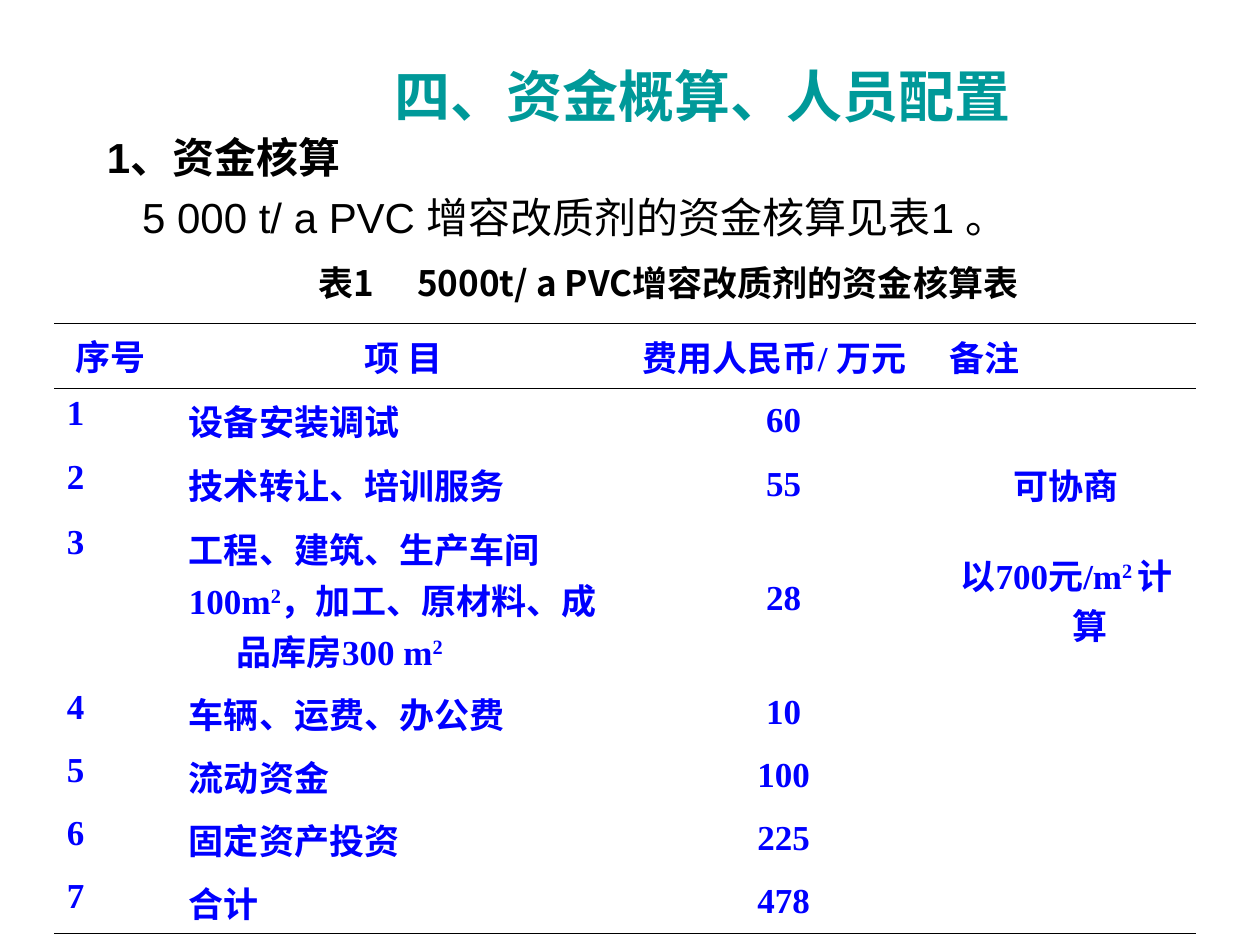
from lxml import etree
from pptx import Presentation
from pptx.dml.color import RGBColor
from pptx.enum.text import MSO_ANCHOR as Anchor, MSO_AUTO_SIZE as Fit, PP_ALIGN as Align
from pptx.oxml.ns import qn
from pptx.util import Inches, Pt

CJK_FONT = "Noto Sans CJK SC"
NO_GRID_STYLE = "{2D5ABB26-0587-4C30-8999-92F81FD0307C}"
BLACK, TEAL, BLUE = "000000", "009999", "0000FF"

COLUMNS = [0.97, 3.6, 2.44, 2.05]
ROW_HEIGHTS = [0.51] * 3 + [1.31] + [0.5] * 4
HEADER = ["序号", "项 目", "费用人民币/ 万元", "备注"]
# Text between carets is raised.
COSTS = [
    ("设备安装调试", "60", ""),
    ("技术转让、培训服务", "55", "可协商"),
    ("工程、建筑、生产车间\n100m^2^，加工、原材料、成品库房300 m^2^", "28",
     "以700元/m^2 ^计算"),
    ("车辆、运费、办公费", "10", ""),
    ("流动资金", "100", ""),
    ("固定资产投资", "225", ""),
    ("合计", "478", ""),
]


def color(value):
    return RGBColor.from_string(value)


def write(para, text, size=20, font="Arial", fill=BLACK, bold=True, align=Align.LEFT,
          left=0, first=0, spacing=None):
    """Fill a paragraph; every second part between carets becomes superscript."""
    para.alignment = align
    para.line_spacing = spacing
    props = para._p.get_or_add_pPr()
    props.set("marL", str(Inches(left)))
    props.set("indent", str(Inches(first)))
    for index, part in enumerate(text.split("^")):
        if not part:
            continue
        span = para.add_run()
        span.text = part
        span.font.size = Pt(size)
        span.font.bold = bold
        span.font.name = font
        span.font.color.rgb = color(fill)
        run_props = span._r.get_or_add_rPr()
        etree.SubElement(run_props, qn("a:ea"), typeface=CJK_FONT)
        if index % 2:
            run_props.set("baseline", "30000")


def set_borders(cell, ruled):
    """Rule the given sides of a cell and clear the others."""
    props = cell._tc.get_or_add_tcPr()
    for side in "LRTB":
        line = etree.SubElement(props, qn(f"a:ln{side}"), w=str(Pt(0.45)))
        if side in ruled:
            fill = etree.SubElement(line, qn("a:solidFill"))
            etree.SubElement(fill, qn("a:srgbClr"), val=BLACK)
        else:
            etree.SubElement(line, qn("a:noFill"))


class SlideBuilder:
    def __init__(self, deck):
        self.page = deck.slides.add_slide(deck.slide_layouts[5])
        self.cell_style = dict(font="Times New Roman", fill=BLUE, left=0.38)

    def frame(self, box, place, wrap, anchor, fit=Fit.SHAPE_TO_FIT_TEXT):
        box.left, box.top, box.width, box.height = map(Inches, place)
        frame = box.text_frame
        frame.word_wrap = wrap
        frame.auto_size = fit
        frame.vertical_anchor = anchor
        return frame

    def title(self, text, place):
        frame = self.frame(self.page.shapes.title, place, True, Anchor.TOP, Fit.NONE)
        write(frame.paragraphs[0], text, size=32, fill=TEAL)

    def text(self, lines, place, wrap=True):
        """Add a box from (text, format) pairs, one paragraph each."""
        box = self.page.shapes.add_textbox(*map(Inches, place))
        frame = self.frame(box, place, wrap, Anchor.MIDDLE)
        for index, (line, style) in enumerate(lines):
            para = frame.add_paragraph() if index else frame.paragraphs[0]
            write(para, line, **style)

    def cell(self, cell, text, align, anchor, first):
        cell.vertical_anchor = anchor
        for index, line in enumerate(text.split("\n")):
            frame = cell.text_frame
            para = frame.add_paragraph() if index else frame.paragraphs[0]
            write(para, line, align=align, first=first, **self.cell_style)

    def table(self, rows, place):
        shape = self.page.shapes.add_table(len(rows), len(COLUMNS), *map(Inches, place))
        table = shape.table
        table.first_row = table.horz_banding = False
        table._tbl.tblPr.find(qn("a:tableStyleId")).text = NO_GRID_STYLE
        for column, width in zip(table.columns, COLUMNS):
            column.width = Inches(width)
        for row, height in zip(table.rows, ROW_HEIGHTS):
            row.height = Inches(height)
        ruled_sides = {0: "TB", 1: "T", len(rows) - 1: "B"}
        for r, row in enumerate(rows):
            centred = (1,) if r == 0 else (2, 3)
            for c, text in enumerate(row):
                cell = table.cell(r, c)
                self.cell(cell, text,
                          align=Align.CENTER if c in centred else Align.LEFT,
                          anchor=Anchor.MIDDLE if c else Anchor.TOP,
                          first=-0.31 if r == c == 0 else -0.38)
                set_borders(cell, ruled_sides.get(r, ""))
                cell.fill.background()


def main():
    deck = Presentation()
    deck.slide_width, deck.slide_height = Inches(10), Inches(7.5)
    slide = SlideBuilder(deck)
    slide.title("四、资金概算、人员配置", (3.03, 0.44, 5.5, 0.64))
    slide.text([
        ("1、资金核算", dict(size=24)),
        ("5 000 t/ a PVC 增容改质剂的资金核算见表1 。",
         dict(size=24, bold=False, first=0.28, spacing=1.2)),
    ], (0.75, 0.99, 8.74, 0.98))
    slide.text([("表1 　5000t/ a PVC增容改质剂的资金核算表",
                 dict(font=CJK_FONT, align=Align.CENTER))],
               (2.29, 2.02, 6.03, 0.44), wrap=False)
    numbered = [(str(number), *cost) for number, cost in enumerate(COSTS, 1)]
    slide.table([HEADER] + numbered, (0.43, 2.57, sum(COLUMNS), sum(ROW_HEIGHTS)))
    deck.save("out.pptx")


if __name__ == "__main__":
    main()
